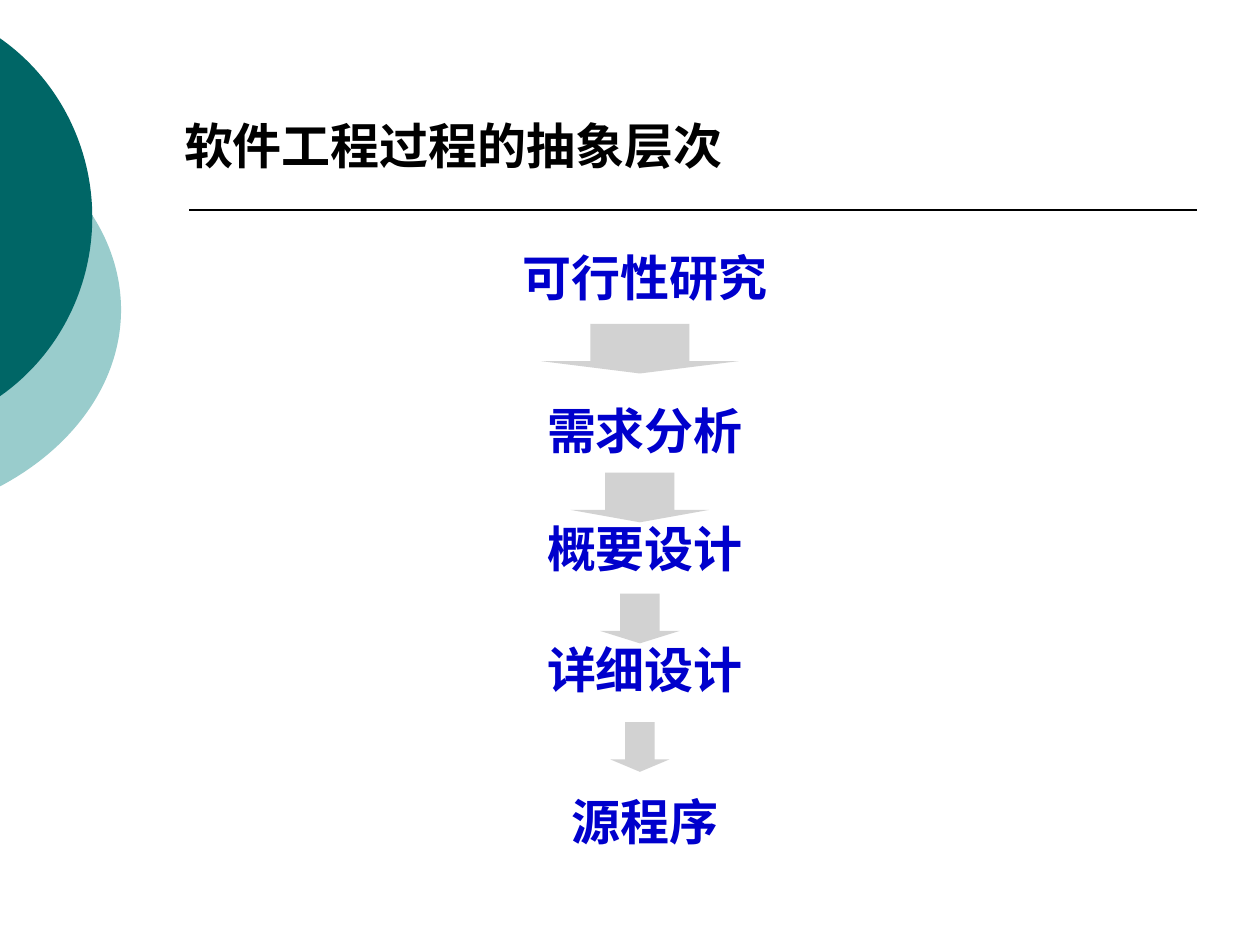
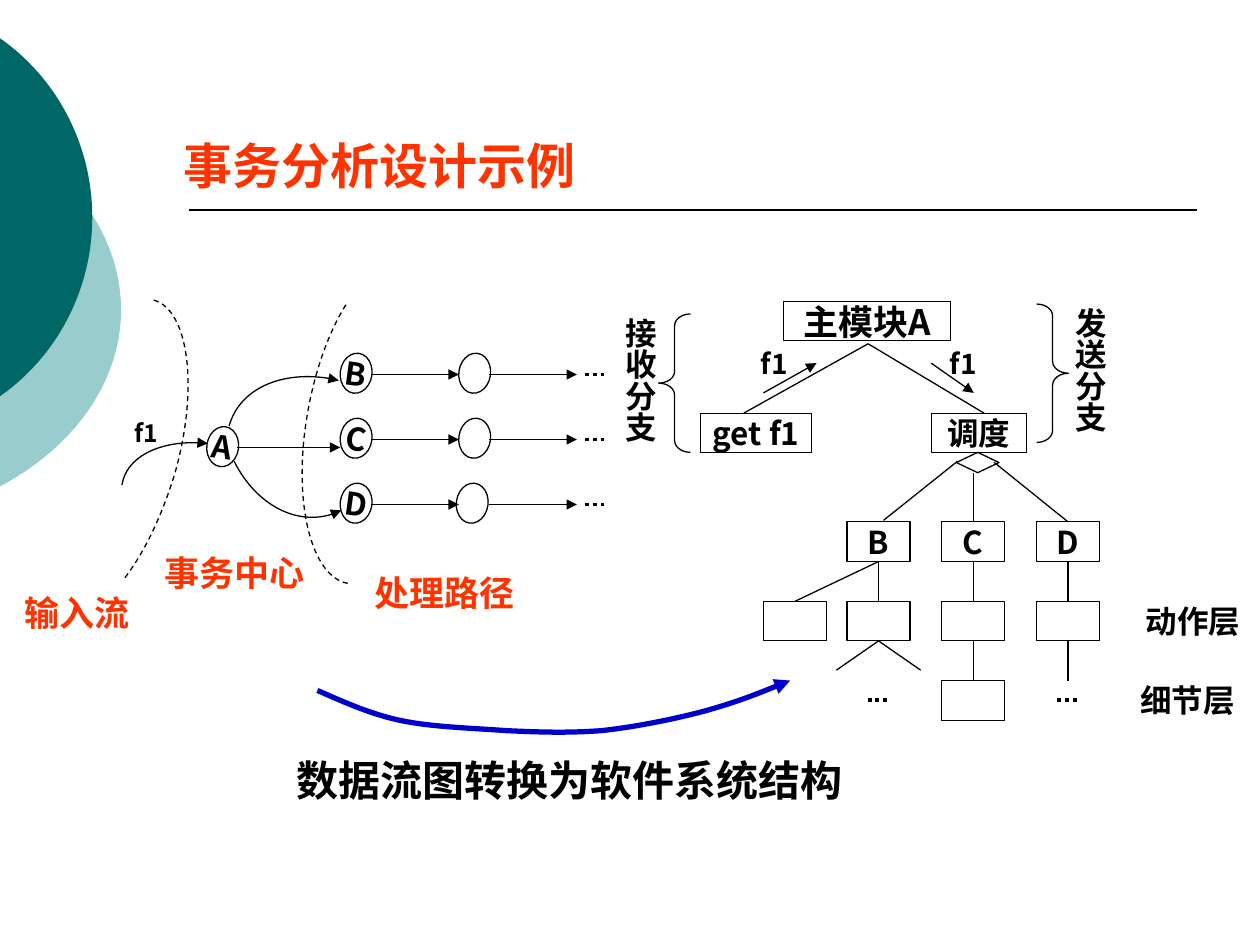
"""Build two software engineering slides: abstraction levels and transaction analysis."""
import dataclasses
import lxml.etree
import pptx
import pptx.dml.color
import pptx.enum.dml
import pptx.enum.shapes
import pptx.enum.text
import pptx.oxml.ns
import pptx.util

Cm, Pt = pptx.util.Cm, pptx.util.Pt
RGB = pptx.dml.color.RGBColor.from_string
MSO = pptx.enum.shapes.MSO_SHAPE
ALIGN = pptx.enum.text.PP_ALIGN
DASH = pptx.enum.dml.MSO_LINE.DASH
DOTS = pptx.enum.dml.MSO_LINE.ROUND_DOT
qn = pptx.oxml.ns.qn


@dataclasses.dataclass(frozen=True)
class Theme:
    font: str = "Noto Sans CJK SC"
    title_font: str = "Roboto"
    black: str = "000000"
    blue: str = "0000CC"
    red: str = "FF3300"
    gray: str = "C0C0C0"
    dark_teal: str = "006666"
    light_teal: str = "99CCCC"
    title: int = 28
    caption: int = 24
    label: int = 20
    body: int = 18
    flow: int = 16
    small: int = 14
    thin: float = 0.75


T = Theme()


def put(sp, box, text="", size=T.body, color=T.black, align=ALIGN.CENTER, font=T.font, fill=None):
    """Place a shape (box in cm), set its fill or outline and write its lines of text."""
    sp.left, sp.top, sp.width, sp.height = (Cm(v) for v in box)
    if sp.shape_type == pptx.enum.shapes.MSO_SHAPE_TYPE.AUTO_SHAPE:
        sp.shadow.inherit = False
        if fill:
            sp.fill.solid()
            sp.fill.fore_color.rgb = RGB(fill)
            sp.line.fill.background()
        else:
            sp.fill.background()
            sp.line.color.rgb = RGB(T.black)
            sp.line.width = Pt(T.thin)
    if text:
        tf = sp.text_frame
        tf.text = text
        tf.margin_left = tf.margin_right = tf.margin_top = tf.margin_bottom = 0
        tf.word_wrap = align == ALIGN.LEFT
        tf.vertical_anchor = pptx.enum.text.MSO_ANCHOR.MIDDLE
        for p in tf.paragraphs:
            p.alignment = align
            p.font.size, p.font.bold, p.font.name = Pt(size), True, font
            p.font.color.rgb = RGB(color)
            rpr = p._p.get_or_add_pPr().find(qn("a:defRPr"))
            lxml.etree.SubElement(rpr, qn("a:ea"), typeface=font)
    return sp


def stroke(shapes, pts, arrow=False, color=T.black, width=T.thin, dash=None):
    """Draw a straight line from two points, or a chain of cubic curves from more (cm)."""
    pts = [(Cm(x), Cm(y)) for x, y in pts]
    if len(pts) == 2:
        sp = shapes.add_connector(pptx.enum.shapes.MSO_CONNECTOR.STRAIGHT, *pts[0], *pts[1])
    else:
        fb = shapes.build_freeform(*pts[0])
        fb.add_line_segments(pts[1:], close=False)
        sp = fb.convert_to_shape()
        sp.fill.background()
        outline = sp._element.find(".//" + qn("a:path"))
        for i, segment in enumerate(outline.findall(qn("a:lnTo"))):
            if i % 3 == 0:
                curve = lxml.etree.SubElement(outline, qn("a:cubicBezTo"))
            curve.append(segment[0])
            outline.remove(segment)
    sp.line.color.rgb = RGB(color)
    sp.line.width = Pt(width)
    if dash:
        sp.line.dash_style = dash
    if arrow:
        lxml.etree.SubElement(sp.line._get_or_add_ln(), qn("a:tailEnd"), type="triangle")
    lxml.etree.SubElement(sp._element.spPr, qn("a:effectLst"))


prs = pptx.Presentation()
prs.slide_width, prs.slide_height = Cm(25.4), Cm(19.05)

discs = [(T.light_teal, (-8.99, 1.9, 11.43, 8.69)), (T.dark_teal, (-6.73, 0, 8.59, 8.76))]
titles = [
    ("软件工程过程的抽象层次", (3.71, 2.33, 11.4, 1.19), T.black, T.title_font),
    ("事务分析设计示例", (3.7, 2.72, 11.4, 1.19), T.red, T.font),
]
for text, box, color, font in titles:
    s = prs.slides.add_slide(prs.slide_layouts[5])
    put(s.shapes.title, box, text, T.title, color, ALIGN.LEFT, font)
    for fill, disc_box in discs:
        put(s.shapes.add_shape(MSO.OVAL, 0, 0, 0, 0), disc_box, fill=fill)
    stroke(s.shapes, [(3.81, 4.24), (24.13, 4.24)], width=1)

# Slide 1
shapes = prs.slides[0].shapes
levels = "可行性研究\n需求分析\n概要设计\n详细设计\n源程序"
sp = put(shapes.add_textbox(0, 0, 0, 0), (9.1, 4.99, 7.8, 12.18), levels, T.title, T.blue)
sp.text_frame.vertical_anchor = pptx.enum.text.MSO_ANCHOR.TOP
for p, gap in zip(sp.text_frame.paragraphs, (0, 54, 33.5, 35.5, 53.5)):
    p.space_before = Pt(gap)

for top, width in ((6.53, 3.99), (9.53, 2.79), (11.97, 1.6), (14.56, 1.19)):
    sp = put(shapes.add_shape(MSO.DOWN_ARROW, 0, 0, 0, 0), (12.9 - width / 2, top, width, 1),
             fill=T.gray)
    sp.adjustments[0], sp.adjustments[1] = 0.5, 0.25
    clr = sp._element.spPr.find(qn("a:solidFill"))[0]
    lxml.etree.SubElement(clr, qn("a:alpha"), val="70000")

# Slide 2
shapes = prs.slides[1].shapes
labels = [
    ("输入流", (0.49, 11.92, 2.49, 0.84), T.label, T.red, ALIGN.LEFT),
    ("事务中心", (3.31, 11.13, 3, 0.84), T.label, T.red, ALIGN.LEFT),
    ("处理路径", (7.55, 11.53, 3.15, 0.84), T.label, T.red, ALIGN.LEFT),
    ("f1", (2.53, 8.33, 0.84, 0.79), T.small, T.black, ALIGN.CENTER),
    ("f1", (15.19, 6.93, 0.84, 0.79), T.flow, T.black, ALIGN.CENTER),
    ("f1", (19, 6.93, 0.84, 0.79), T.flow, T.black, ALIGN.CENTER),
    ("动作层", (23.05, 12.12, 2, 0.8), T.body, T.black, ALIGN.CENTER),
    ("细节层", (22.94, 13.72, 2, 0.8), T.body, T.black, ALIGN.CENTER),
    ("数据流图转换为软件系统结构", (5.79, 15.32, 11.4, 0.79), T.caption, T.black, ALIGN.CENTER),
]
for text, box, size, color, align in labels:
    put(shapes.add_textbox(0, 0, 0, 0), box, text, size, color, align)

branches = [
    ("接收分支", (12.52, 6.4, 0.76, 2.6), MSO.LEFT_BRACE, (13.28, 6.33, 0.64, 2.79)),
    ("发送分支", (21.59, 6.2, 0.76, 2.79), MSO.RIGHT_BRACE, (20.9, 6.13, 0.64, 2.79)),
]
for text, box, brace, brace_box in branches:
    sp = put(shapes.add_textbox(0, 0, 0, 0), box, text, align=ALIGN.LEFT)
    sp.text_frame._txBody.bodyPr.set("vert", "eaVert")
    sp = put(shapes.add_shape(brace, 0, 0, 0, 0), brace_box)
    sp.adjustments[0], sp.adjustments[1] = 0.37, 0.5

nodes = [("A", 4.17, 8.6)]
for row, (name, next_x) in enumerate((("B", 9.25), ("C", 9.25), ("D", 9.2))):
    y = 7.55 + 1.31 * row
    nodes += [(name, 6.86, y - 0.43), ("", next_x, y - 0.43)]
    stroke(shapes, [(7.47, y), (9.25, y)], arrow=True)
    stroke(shapes, [(9.86, y), (11.63, y)], arrow=True)
    stroke(shapes, [(11.79, y), (12.24, y)], width=2.25, dash=DOTS)
for name, x, y in nodes:
    put(shapes.add_shape(MSO.OVAL, 0, 0, 0, 0), (x, y, 0.64, 0.81), name).rotation = 7.8

boundaries = [
    [(3.1, 6.05), (3.81, 6.25), (4.01, 7.82), (3.53, 9.53),
     (3.28, 10.36), (2.92, 11.13), (2.51, 11.66)],
    [(7.01, 11.76), (6.27, 11.63), (5.89, 10.11), (6.2, 8.33),
     (6.35, 7.47), (6.63, 6.68), (6.99, 6.12)],
]
for pts in boundaries:
    stroke(shapes, pts, dash=DASH)

flows = [
    [(2.46, 9.78), (2.54, 9.22), (3.3, 8.84), (4.19, 8.94)],
    [(4.62, 8.59), (4.83, 7.82), (5.82, 7.42), (6.83, 7.67)],
    [(4.72, 9.3), (5.18, 10.21), (6.15, 10.67), (6.88, 10.29)],
    [(4.78, 9.02), (6.86, 9.02)],
    [(15.39, 7.92), (16.46, 7.32)],
    [(18.77, 7.32), (19.63, 7.92)],
]
for pts in flows:
    stroke(shapes, pts, arrow=True)

boxes = [
    ("主模块A", (15.79, 6.08, 3.38, 0.79), T.label),
    ("get f1", (14.12, 8.33, 2.24, 0.79), T.body),
    ("调度", (18.78, 8.33, 1.91, 0.79), T.body),
]
col_b, col_c, col_d = (17.71 + 1.91 * i for i in range(3))
row_1, row_2, row_3 = (10.52 + 1.6 * i for i in range(3))
w, h = 1.27, 0.8
cells = [("B", col_b, row_1), ("C", col_c, row_1), ("D", col_d, row_1), ("", 16.03, row_2),
         ("", col_b, row_2), ("", col_c, row_2), ("", col_d, row_2), ("", col_c, row_3)]
boxes += [(name, (x - w / 2, y, w, h), T.body) for name, x, y in cells]
for text, box, size in boxes:
    put(shapes.add_shape(MSO.RECTANGLE, 0, 0, 0, 0), box, text, size)
put(shapes.add_shape(MSO.FLOWCHART_DECISION, 0, 0, 0, 0), (19.28, 9.12, 0.86, 0.41))

links = [
    [(17.5, 6.93), (14.99, 8.33)],
    [(17.5, 6.93), (19.84, 8.33)],
    [(19.3, 9.3), (17.81, 10.49)],
    [(col_c, 9.53), (col_c, row_1)],
    [(20.04, 9.32), (col_d, row_1)],
    [(col_b, row_1 + h), (16.03, row_2)],
    [(col_b, row_2 + h), (col_b - 0.85, 13.51)],
    [(col_b, row_2 + h), (col_b + 0.85, 13.51)],
    [(col_c, row_2 + h), (col_c, row_3)],
    [(col_d, row_2 + h), (col_d, row_3)],
]
links += [[(x, row_1 + h), (x, row_2)] for x in (col_b, col_c, col_d)]
for pts in links:
    stroke(shapes, pts)
for x in (col_b, col_d):
    stroke(shapes, [(x - 0.22, 14.12), (x + 0.22, 14.12)], width=2.25, dash=DOTS)

conversion = [(6.4, 13.92), (6.93, 14.15), (7.47, 14.4), (8.1, 14.53), (8.74, 14.66),
              (9.55, 14.68), (10.21, 14.73), (10.87, 14.76), (11.43, 14.78), (12.12, 14.73),
              (12.78, 14.66), (13.59, 14.5), (14.22, 14.33), (14.86, 14.15), (15.39, 13.94),
              (15.93, 13.72)]
stroke(shapes, conversion, arrow=True, color=T.blue, width=3)

prs.save("out.pptx")
